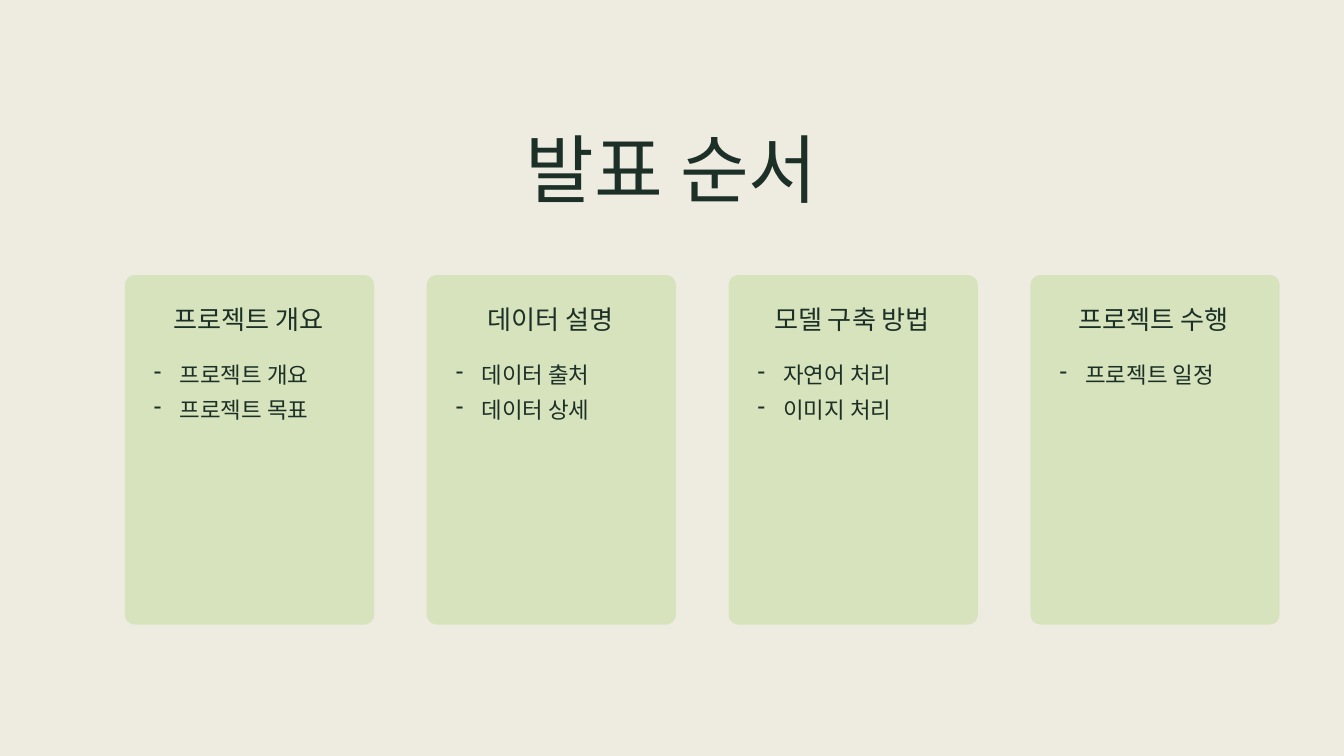
"""Build the agenda slide: a title above four cards of topics."""
from lxml import etree
from pptx import Presentation
from pptx.dml.color import RGBColor
from pptx.enum import shapes, text
from pptx.oxml import ns
from pptx.util import Cm, Pt

CREAM = RGBColor(0xEE, 0xEC, 0xE1)
SAGE = RGBColor(0xD6, 0xE3, 0xBC)
FOREST = RGBColor(0x1C, 0x30, 0x27)

AGENDA = [
    ("프로젝트 개요", ["프로젝트 개요", "프로젝트 목표"]),
    ("데이터 설명", ["데이터 출처", "데이터 상세"]),
    ("모델 구축 방법", ["자연어 처리", "이미지 처리"]),
    ("프로젝트 수행", ["프로젝트 일정"]),
]
CARD_LEFT, CARD_TOP = 4.72, 10.4
CARD_WIDTH, CARD_HEIGHT = 9.42, 13.21
CARD_PITCH = 11.41


class AgendaPage:
    title_font = "Calibri"
    body_font = "Arial"
    indent = Cm(0.97)

    def __init__(self, deck):
        self.page = deck.slides.add_slide(deck.slide_layouts[5])
        fill = self.page.background.fill
        fill.solid()
        fill.fore_color.rgb = CREAM

    def prepare(self, box):
        frame = box.text_frame
        frame.margin_left = frame.margin_right = 0
        frame.margin_top = frame.margin_bottom = 0
        frame.word_wrap = True
        frame.auto_size = text.MSO_AUTO_SIZE.SHAPE_TO_FIT_TEXT
        frame.vertical_anchor = text.MSO_ANCHOR.TOP
        return frame

    def add_span(self, para, words, size, font, spacing, align):
        para.alignment = align
        para.line_spacing = spacing
        para.space_before = Pt(0)
        span = para.add_run()
        span.text = words
        span.font.size = Pt(size)
        span.font.name = font
        span.font.color.rgb = FOREST

    def title(self, words):
        box = self.page.shapes.title
        box.left, box.top = Cm(5.82), Cm(3.96)
        box.width, box.height = Cm(39.14), Cm(3.43)
        para = self.prepare(box).paragraphs[0]
        self.add_span(para, words, 80, self.title_font, 1.2, text.PP_ALIGN.CENTER)

    def text_box(self, left, top, width, height):
        box = self.page.shapes.add_textbox(Cm(left), Cm(top), Cm(width), Cm(height))
        return self.prepare(box)

    def panel(self, left):
        card = self.page.shapes.add_shape(
            shapes.MSO_SHAPE.ROUNDED_RECTANGLE,
            Cm(left), Cm(CARD_TOP), Cm(CARD_WIDTH), Cm(CARD_HEIGHT))
        card.adjustments[0] = 0.04
        card.shadow.inherit = False
        card.fill.solid()
        card.fill.fore_color.rgb = SAGE
        card.line.fill.background()

    def heading(self, left, words):
        para = self.text_box(left + 0.84, CARD_TOP + 0.73, 7.65, 1.2).paragraphs[0]
        self.add_span(para, words, 28, self.body_font, 1.3, text.PP_ALIGN.CENTER)

    def dash(self, para):
        props = para._p.get_or_add_pPr()
        props.set("marL", str(self.indent))
        props.set("indent", str(-self.indent))
        colour = etree.SubElement(props, ns.qn("a:buClr"))
        etree.SubElement(colour, ns.qn("a:srgbClr"), val=str(FOREST))
        etree.SubElement(props, ns.qn("a:buChar"), char="-")

    def topics(self, left, items):
        frame = self.text_box(left + 1.1, CARD_TOP + 2.92, 7.39, 2.25)
        for index, item in enumerate(items):
            para = frame.add_paragraph() if index else frame.paragraphs[0]
            self.dash(para)
            self.add_span(para, item, 24, self.body_font, 1.31, text.PP_ALIGN.LEFT)

    def card(self, left, heading, items):
        self.panel(left)
        self.heading(left, heading)
        self.topics(left, items)


def main():
    deck = Presentation()
    deck.slide_width, deck.slide_height = Cm(50.8), Cm(28.58)
    agenda = AgendaPage(deck)
    agenda.title("발표 순서")
    for column, (heading, items) in enumerate(AGENDA):
        agenda.card(CARD_LEFT + column * CARD_PITCH, heading, items)
    deck.save("out.pptx")


if __name__ == "__main__":
    main()
